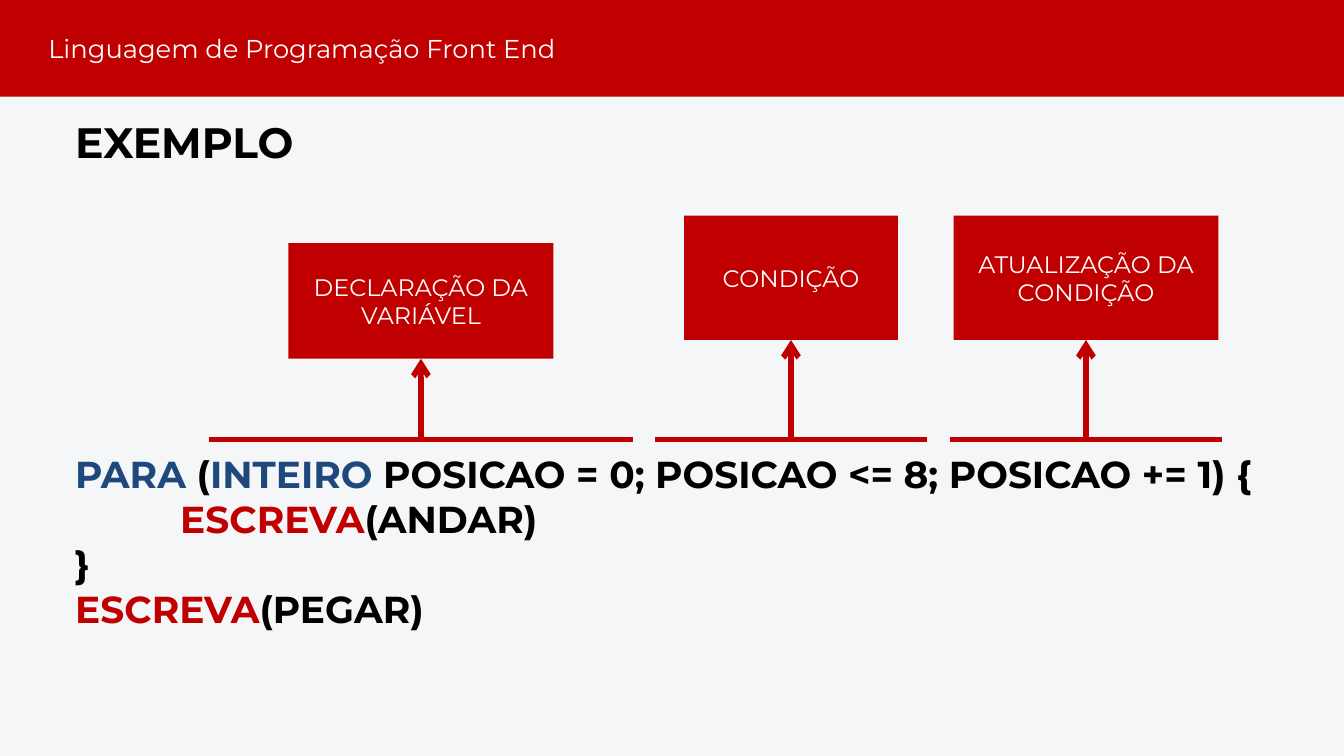
from lxml import etree
from pptx import Presentation
from pptx.dml.color import RGBColor
from pptx.enum import shapes, text
from pptx.oxml import ns
from pptx.util import Pt

RED = RGBColor(0xC0, 0x00, 0x00)
BLUE = RGBColor(0x1F, 0x49, 0x7D)
BLACK = RGBColor(0x00, 0x00, 0x00)
WHITE = RGBColor(0xFF, 0xFF, 0xFF)
PALE = RGBColor(0xF5, 0xF6, 0xF8)
FONT = "Montserrat"

COURSE = "Linguagem de Programação Front End"
HEADING = "EXEMPLO"

# label, box (left, top, width, height), underline (left, right)
LOOP_PARTS = [
    ("DECLARAÇÃO DA VARIÁVEL", (309, 260.6, 284, 123.8), (223.9, 678.2)),
    ("CONDIÇÃO", (733, 231.1, 229, 133.2), (701.3, 992.9)),
    ("ATUALIZAÇÃO DA CONDIÇÃO", (1021.7, 231.1, 283.7, 133.2), (1018.1, 1309.7)),
]

# indent, coloured pieces
CODE = [
    (0, [("PARA ", BLUE), ("(", BLACK), ("INTEIRO", BLUE),
         (" POSICAO = 0; POSICAO <= 8; POSICAO += 1) {", BLACK)]),
    (112.5, [("ESCREVA", RED), ("(ANDAR)", BLACK)]),
    (0, [("}", BLACK)]),
    (0, [("ESCREVA", RED), ("(PEGAR)", BLACK)]),
]

WIDTH, HEIGHT = 1440, 810
MARGIN = 80.6
UNDERLINE_Y = 471


def set_all(target, values):
    for name, value in values.items():
        setattr(target, name, value)


def place(shape, left, top, width, height):
    set_all(shape, dict(left=Pt(left), top=Pt(top), width=Pt(width), height=Pt(height)))


def format_frame(frame, anchor, left=0, right=0):
    set_all(frame, dict(word_wrap=True, auto_size=text.MSO_AUTO_SIZE.NONE,
                        vertical_anchor=anchor, margin_left=Pt(left),
                        margin_right=Pt(right), margin_top=0, margin_bottom=0))


def write(paragraph, pieces, size, spacing, align=text.PP_ALIGN.LEFT, bold=False):
    set_all(paragraph, dict(alignment=align, line_spacing=Pt(spacing), space_before=Pt(0)))
    for words, color in pieces:
        run = paragraph.add_run()
        run.text = words
        set_all(run.font, dict(name=FONT, size=Pt(size), bold=bold))
        run.font.color.rgb = color


def add_red_box(slide, left, top, width, height):
    box = slide.shapes.add_shape(shapes.MSO_SHAPE.RECTANGLE,
                                 Pt(left), Pt(top), Pt(width), Pt(height))
    box.shadow.inherit = False
    box.fill.solid()
    box.fill.fore_color.rgb = RED
    box.line.fill.background()
    return box


def add_red_line(slide, x1, y1, x2, y2):
    line = slide.shapes.add_connector(shapes.MSO_CONNECTOR.STRAIGHT,
                                      Pt(x1), Pt(y1), Pt(x2), Pt(y2))
    line.line.color.rgb = RED
    line.line.width = Pt(6)
    etree.SubElement(line._element.spPr, ns.qn("a:effectLst"))
    return line


def add_header(slide):
    bar = add_red_box(slide, 0, 0, WIDTH, 103.7)
    format_frame(bar.text_frame, text.MSO_ANCHOR.MIDDLE, left=51.8)
    write(bar.text_frame.paragraphs[0], [(COURSE, WHITE)], 27.6, 33.2)


def add_loop_part(slide, label, box_area, underline):
    box = add_red_box(slide, *box_area)
    format_frame(box.text_frame, text.MSO_ANCHOR.MIDDLE, left=4, right=4)
    write(box.text_frame.paragraphs[0], [(label, WHITE)], 25.5, 30.6,
          align=text.PP_ALIGN.CENTER)

    left, top, width, height = box_area
    middle = left + width / 2
    arrow = add_red_line(slide, middle, UNDERLINE_Y, middle, top + height)
    arrow.end_connect(box, 2)
    etree.SubElement(arrow.line._get_or_add_ln(), ns.qn("a:tailEnd"), type="arrow")
    start, end = underline
    add_red_line(slide, start, UNDERLINE_Y, end, UNDERLINE_Y)


def fill_code(body):
    place(body, MARGIN, 483, 1279, 193)
    frame = body.text_frame
    format_frame(frame, text.MSO_ANCHOR.TOP)
    for number, (indent, pieces) in enumerate(CODE):
        paragraph = frame.add_paragraph() if number else frame.paragraphs[0]
        write(paragraph, pieces, 40.2, 48.2, bold=True)
        properties = paragraph._p.get_or_add_pPr()
        properties.set("marL", str(Pt(indent)))
        properties.set("indent", "0")
        etree.SubElement(properties, ns.qn("a:buNone"))


def main():
    deck = Presentation()
    set_all(deck, dict(slide_width=Pt(WIDTH), slide_height=Pt(HEIGHT)))
    slide = deck.slides.add_slide(deck.slide_layouts[1])
    slide.background.fill.solid()
    slide.background.fill.fore_color.rgb = PALE

    add_header(slide)
    title = slide.shapes.title
    place(title, MARGIN, 124.6, 446.4, 54.6)
    format_frame(title.text_frame, text.MSO_ANCHOR.TOP)
    write(title.text_frame.paragraphs[0], [(HEADING, BLACK)], 45.5, 54.6, bold=True)

    for part in LOOP_PARTS:
        add_loop_part(slide, *part)
    fill_code(slide.placeholders[1])
    deck.save("out.pptx")


if __name__ == "__main__":
    main()
